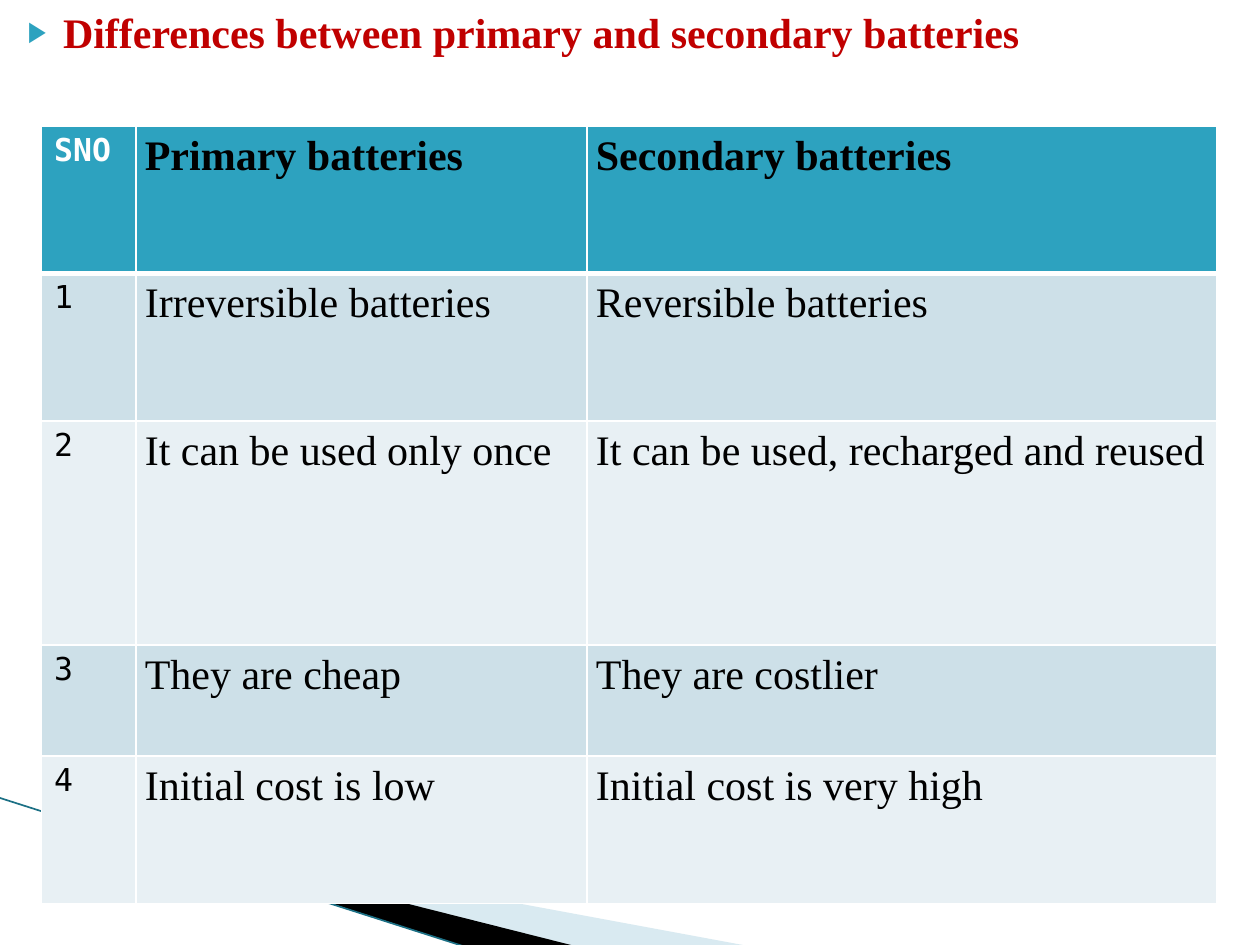
from lxml.etree import SubElement
from pptx import Presentation
from pptx.dml.color import RGBColor
from pptx.enum.shapes import MSO_CONNECTOR
from pptx.enum.text import MSO_ANCHOR, MSO_AUTO_SIZE, PP_ALIGN
from pptx.oxml import parse_xml
from pptx.oxml.ns import nsdecls, qn
from pptx.util import Inches, Pt

SERIF, MONO = "Times New Roman", "DejaVu Sans Mono"
TEAL = "2DA2BF"
BANDS = ("CDE0E8", "E8F0F4")


def rgb(value):
    return RGBColor.from_string(value)


def style(p, font, size, color, bold=False):
    for r in p.runs:
        r.font.name, r.font.size, r.font.bold = font, Pt(size), bold
        r.font.color.rgb = rgb(color)


# Corner decoration
def add_wedge(s, x, y, points, color, alpha=100):
    pts = [(Inches(x + dx), Inches(y + dy)) for dx, dy in points]
    builder = s.shapes.build_freeform(*pts[0], scale=1.0)
    builder.add_line_segments(pts[1:], close=True)
    sp = builder.convert_to_shape()
    sp.shadow.inherit = False
    sp.fill.solid()
    sp.fill.fore_color.rgb = rgb(color)
    sp.line.fill.background()
    if alpha < 100:
        clr = sp.fill._xPr.find(qn("a:solidFill"))[0]
        SubElement(clr, qn("a:alpha"), val=str(alpha * 1000))


def add_decoration(s, x, y):
    add_wedge(s, x, y, [(0.55, 0.18), (5.95, 1.18), (4.56, 1.18), (0.55, 0.17)], "A0CBDC", 40)
    add_wedge(s, x, y, [(0.53, 0.16), (4.57, 1.18), (3.72, 1.19), (0.54, 0.17)], "000000")
    edge = s.shapes.add_connector(MSO_CONNECTOR.STRAIGHT, Inches(x - 0.01), Inches(y),
                                  Inches(x + 3.71), Inches(y + 1.19))
    edge.line.color.rgb = rgb("1C7085")
    edge.line.width = Pt(0.95)
    SubElement(edge._element.spPr, qn("a:effectLst"))


# Bulleted heading in the body placeholder
def fill_body(body, x, y, w, h, text):
    body.left, body.top, body.width, body.height = map(Inches, (x, y, w, h))
    tf = body.text_frame
    tf.text = text
    tf.auto_size = MSO_AUTO_SIZE.NONE
    tf.vertical_anchor = MSO_ANCHOR.TOP
    p = tf.paragraphs[0]
    p.space_before = Pt(4)
    style(p, SERIF, 24, "C00000", True)
    pPr = p._p.get_or_add_pPr()
    pPr.set("marL", str(Inches(0.4)))
    pPr.set("indent", str(Inches(-0.28)))
    SubElement(SubElement(pPr, qn("a:buClr")), qn("a:srgbClr"), val=TEAL)
    SubElement(pPr, qn("a:buSzPct"), val="68000")
    SubElement(pPr, qn("a:buChar"), char="▶")


# Comparison table
def set_borders(cell, **widths):
    tcPr = cell._tc.get_or_add_tcPr()
    for i, side in enumerate("LRTB"):
        width = Pt(widths.get(side, 1))
        tcPr.insert(i, parse_xml(
            f'<a:ln{side} {nsdecls("a")} w="{width}"><a:solidFill>'
            f'<a:srgbClr val="FFFFFF"/></a:solidFill></a:ln{side}>'))


def fill_cell(cell, text, row, col):
    header = row == 0
    cell.text = text
    cell.fill.solid()
    cell.fill.fore_color.rgb = rgb(TEAL if header else BANDS[(row - 1) % 2])
    p = cell.text_frame.paragraphs[0]
    if col == 0:
        style(p, MONO, 18, "FFFFFF" if header else "000000", header)
    else:
        style(p, SERIF, 24, "000000", header)
        p.alignment, p.line_spacing = PP_ALIGN.JUSTIFY, 1.15
        cell.margin_left = cell.margin_right = Inches(0.07)
        cell.margin_top = cell.margin_bottom = 0
    set_borders(cell, B=3 if header else 1, T=3 if row == 1 else 1)


def add_comparison(s, x, y, cols, heights, rows):
    table = s.shapes.add_table(len(rows), len(cols), Inches(x), Inches(y),
                               Inches(sum(cols)), Inches(sum(heights))).table
    for column, width in zip(table.columns, cols):
        column.width = Inches(width)
    for i, (height, texts) in enumerate(zip(heights, rows)):
        table.rows[i].height = Inches(height)
        for j, text in enumerate(texts):
            fill_cell(table.cell(i, j), text, i, j)


prs = Presentation()
prs.slide_width, prs.slide_height = Inches(10), Inches(7.5)
s = prs.slides.add_slide(prs.slide_layouts[1])
title = s.shapes.title._element
title.getparent().remove(title)

add_decoration(s, 0, 6.33)
fill_body(s.placeholders[1], 0, 0, 9.83, 6.57,
          "Differences between primary and secondary batteries")
add_comparison(s, 0.33, 1, (0.75, 3.58, 5), (1.17, 1.17, 1.78, 0.88, 1.17), [
    ("SNO", "Primary batteries", "Secondary batteries"),
    ("1", "Irreversible batteries", "Reversible batteries"),
    ("2", "It can be used only once", "It can be used, recharged and reused"),
    ("3", "They are cheap", "They are costlier"),
    ("4", "Initial cost is low", "Initial cost is very high"),
])
prs.save("out.pptx")
